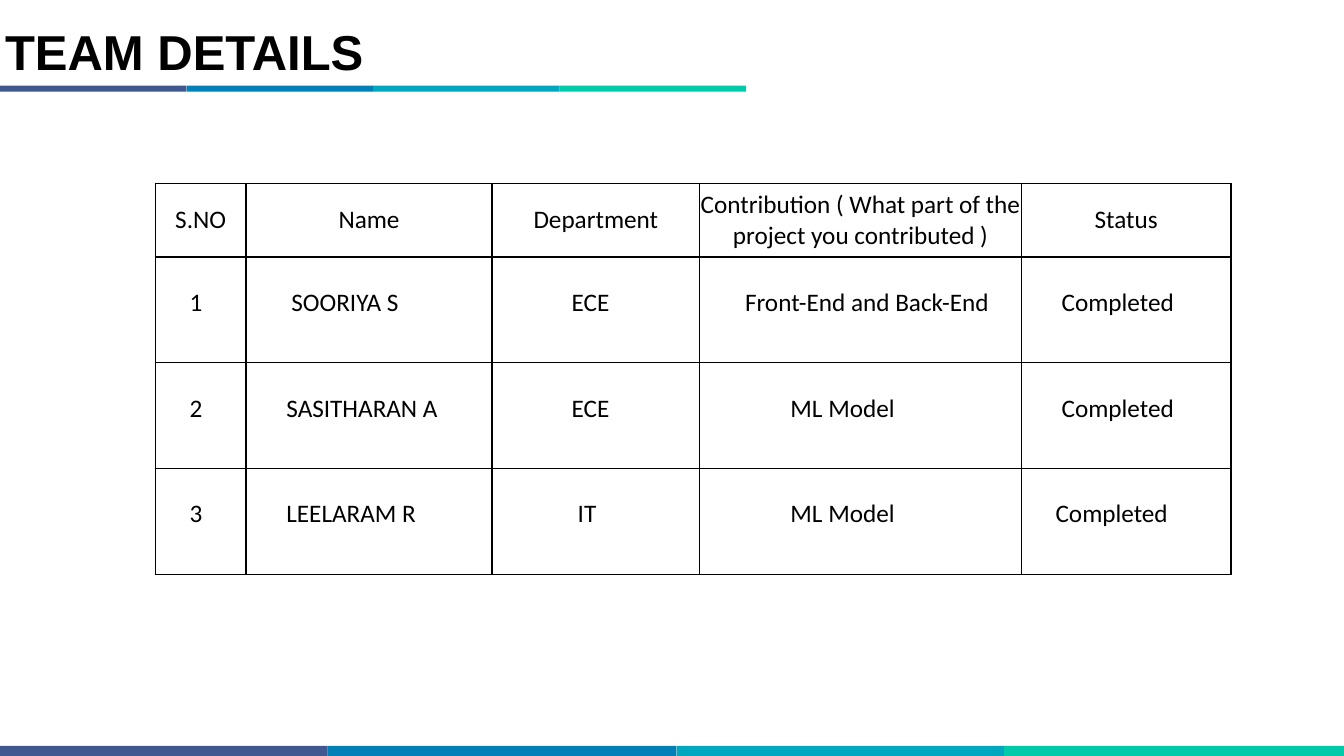
from dataclasses import dataclass

from pptx import Presentation
from pptx.dml.color import RGBColor
from pptx.enum.shapes import MSO_SHAPE
from pptx.enum.text import MSO_ANCHOR, PP_ALIGN
from pptx.oxml import parse_xml
from pptx.oxml.ns import nsdecls
from pptx.util import Inches, Pt


@dataclass(frozen=True)
class Theme:
    text: str = "000000"
    background: str = "FFFFFF"
    border: str = "000000"
    stripes: tuple = ("405890", "0080B6", "00A7BE", "00CAAA")
    title_font: str = "Arial"
    body_font: str = "Calibri"
    title_size: int = 35
    body_size: int = 18
    border_width: int = 1


class SlideBuilder:
    def __init__(self, slide, theme):
        self.slide = slide
        self.theme = theme

    def style_text(self, paragraph, font_name, size, bold=False):
        for run in paragraph.runs:
            run.font.name = font_name
            run.font.size = Pt(size)
            run.font.bold = bold
            run.font.color.rgb = RGBColor.from_string(self.theme.text)

    def add_stripe(self, top, height, widths):
        left = 0
        for width, color in zip(widths, self.theme.stripes):
            shape = self.slide.shapes.add_shape(
                MSO_SHAPE.RECTANGLE, Inches(left), Inches(top), Inches(width), Inches(height))
            shape.shadow.inherit = False
            shape.fill.solid()
            shape.fill.fore_color.rgb = RGBColor.from_string(color)
            shape.line.fill.background()
            left += width

    def add_title(self, text, left, top, width, height):
        shape = self.slide.shapes.add_textbox(
            Inches(left), Inches(top), Inches(width), Inches(height))
        frame = shape.text_frame
        frame.word_wrap = True
        frame.vertical_anchor = MSO_ANCHOR.BOTTOM
        frame.margin_left = frame.margin_right = Inches(0.05)
        frame.margin_top = frame.margin_bottom = Inches(0.05)
        frame.text = text
        paragraph = frame.paragraphs[0]
        paragraph.line_spacing = 0.9
        self.style_text(paragraph, self.theme.title_font, self.theme.title_size, bold=True)

    def add_borders(self, cell):
        properties = cell._tc.get_or_add_tcPr()
        for index, side in enumerate(("lnL", "lnR", "lnT", "lnB")):
            properties.insert(index, parse_xml(
                f'<a:{side} {nsdecls("a")} w="{Pt(self.theme.border_width)}">'
                f'<a:solidFill><a:srgbClr val="{self.theme.border}"/></a:solidFill></a:{side}>'))

    def fill_cell(self, cell, text, indent=None):
        cell.margin_left = cell.margin_right = cell.margin_top = cell.margin_bottom = 0
        cell.text = text
        paragraph = cell.text_frame.paragraphs[0]
        if indent is None:
            cell.vertical_anchor = MSO_ANCHOR.MIDDLE
            paragraph.alignment = PP_ALIGN.CENTER
        else:
            cell.vertical_anchor = MSO_ANCHOR.TOP
            cell.margin_top = Inches(0.3)
            cell.margin_left = Inches(indent)
        self.style_text(paragraph, self.theme.body_font, self.theme.body_size)
        cell.fill.solid()
        cell.fill.fore_color.rgb = RGBColor.from_string(self.theme.background)
        self.add_borders(cell)

    def add_table(self, left, top, widths, heights, header, members):
        table = self.slide.shapes.add_table(
            len(heights), len(widths), Inches(left), Inches(top),
            Inches(sum(widths)), Inches(sum(heights))).table
        table.horz_banding = False
        for column, width in zip(table.columns, widths):
            column.width = Inches(width)
        for row, height in zip(table.rows, heights):
            row.height = Inches(height)
        for column_index, label in enumerate(header):
            self.fill_cell(table.cell(0, column_index), label)
        for row_index, member in enumerate(members, start=1):
            for column_index, (text, indent) in enumerate(member):
                self.fill_cell(table.cell(row_index, column_index), text, indent)


HEADER = ("S.NO", "Name", "Department",
          "Contribution ( What part of the project you contributed )", "Status")
MEMBERS = (
    (("1", 0.34), ("SOORIYA S", 0.45), ("ECE", 0.79),
     ("Front-End and Back-End", 0.45), ("Completed", 0.4)),
    (("2", 0.34), ("SASITHARAN A", 0.4), ("ECE", 0.79),
     ("ML Model", 0.9), ("Completed", 0.4)),
    (("3", 0.34), ("LEELARAM R", 0.4), ("IT", 0.85),
     ("ML Model", 0.9), ("Completed", 0.34)),
)


def main():
    presentation = Presentation()
    presentation.slide_width = Inches(13.33)
    presentation.slide_height = Inches(7.5)
    slide = presentation.slides.add_slide(presentation.slide_layouts[6])
    builder = SlideBuilder(slide, Theme())
    builder.add_stripe(7.4, 0.1, (3.25, 3.46, 3.25, 3.37))
    builder.add_stripe(0.85, 0.06, (1.85,) * 4)
    builder.add_title("TEAM DETAILS", 0, 0, 8.37, 0.85)
    builder.add_table(1.54, 1.82, (0.9, 2.44, 2.06, 3.19, 2.08),
                      (0.73,) + (1.05,) * len(MEMBERS), HEADER, MEMBERS)
    presentation.save("out.pptx")


if __name__ == "__main__":
    main()
